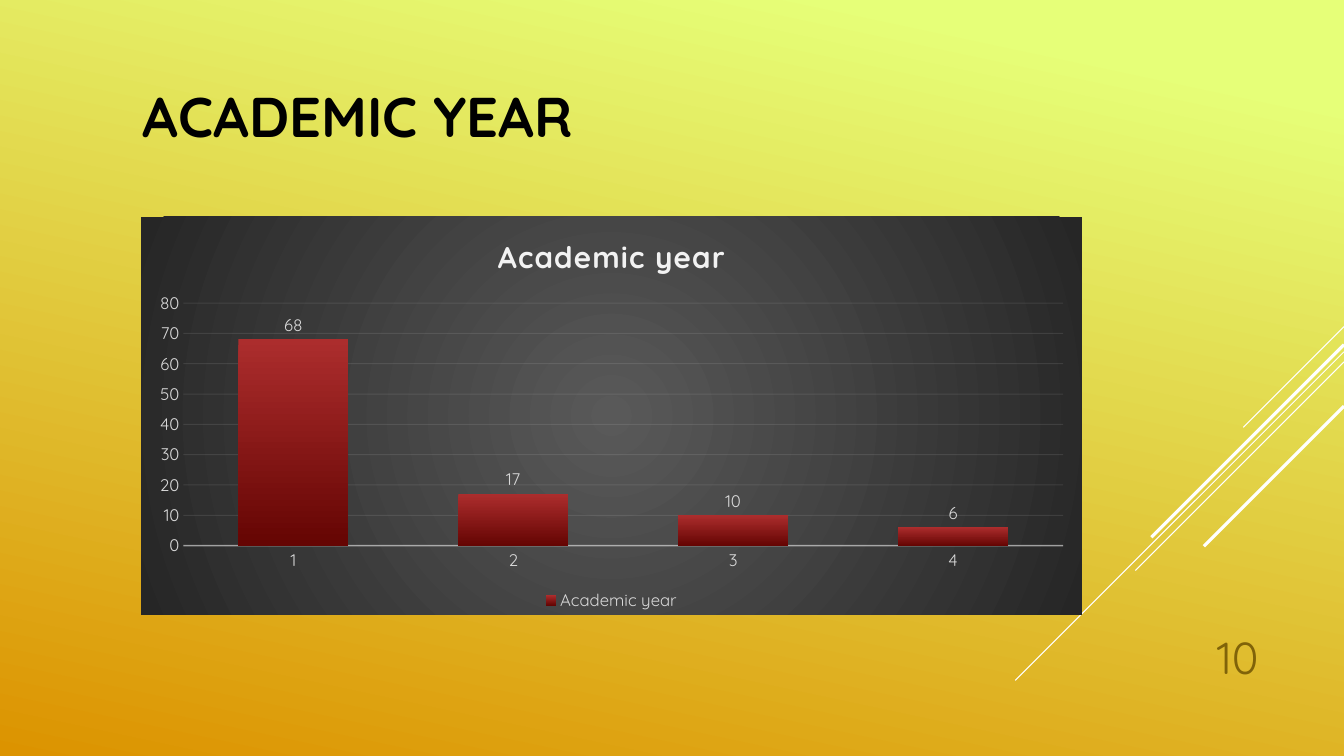
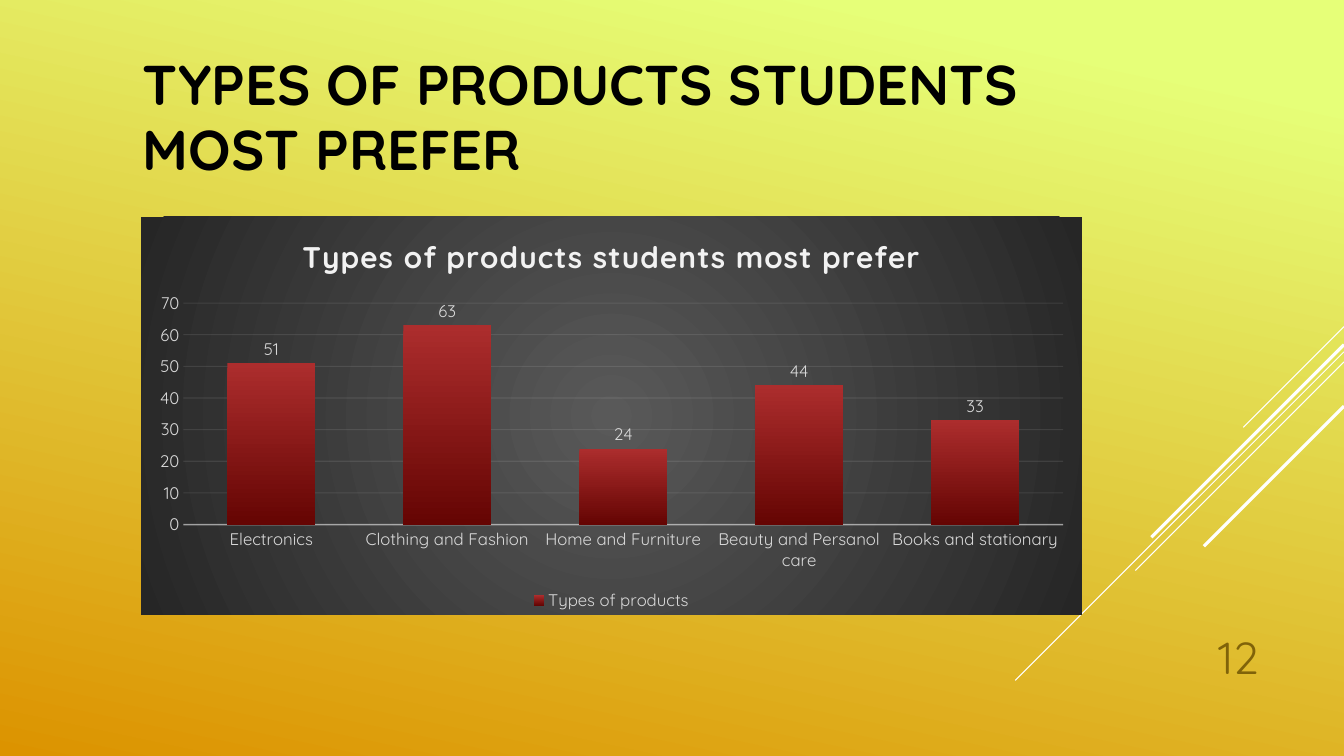
from lxml.etree import SubElement
from pptx import Presentation
from pptx.chart.data import CategoryChartData
from pptx.dml.color import RGBColor
from pptx.enum.chart import XL_CHART_TYPE as ChartType
from pptx.enum.chart import XL_LABEL_POSITION as LabelPosition
from pptx.enum.chart import XL_LEGEND_POSITION as LegendPosition
from pptx.enum.chart import XL_TICK_MARK as TickMark
from pptx.enum.shapes import MSO_CONNECTOR as Connector
from pptx.enum.text import MSO_ANCHOR as Anchor
from pptx.enum.text import PP_ALIGN as Align
from pptx.oxml import parse_xml
from pptx.oxml.ns import nsdecls, qn
from pptx.util import Inches, Pt

# Content
SLIDES = [
    {
        "title": "ACADEMIC YEAR",
        "chart_title": "Academic year",
        "series": "Academic year",
        "data": [("1", 68), ("2", 17), ("3", 10), ("4", 6)],
        "axis_max": 80,
        "number": "10",
    },
    {
        "title": "TYPES OF PRODUCTS STUDENTS MOST PREFER",
        "chart_title": "Types of products students most prefer",
        "series": "Types of products",
        "data": [
            ("Electronics", 51),
            ("Clothing and Fashion", 63),
            ("Home and Furniture", 24),
            ("Beauty and Persanol care", 44),
            ("Books and stationary", 33),
        ],
        "axis_max": 70,
        "number": "12",
    },
]

# Shared style
FONT = "Quicksand"
LIME, ORANGE = RGBColor(0xE6, 0xFF, 0x78), RGBColor(0xDC, 0x93, 0x00)
RED, DARK_RED = RGBColor(0xAC, 0x2D, 0x2D), RGBColor(0x65, 0x05, 0x03)
GRAY, CHARCOAL = RGBColor(0x59, 0x59, 0x59), RGBColor(0x26, 0x26, 0x26)
BLACK, WHITE = RGBColor(0, 0, 0), RGBColor(0xFF, 0xFF, 0xFF)
PALE, SILVER = RGBColor(0xF2, 0xF2, 0xF2), RGBColor(0xD9, 0xD9, 0xD9)
BROWN = RGBColor(0x80, 0x63, 0x09)

TITLE_FORMAT = {"name": FONT, "size": Pt(40), "bold": True, "color": BLACK}
NUMBER_FORMAT = {"name": FONT, "size": Pt(32), "color": BROWN}
CHART_TITLE_FORMAT = {"name": FONT, "size": Pt(21.3), "bold": True, "color": PALE}
CHART_FORMAT = {"name": FONT, "size": Pt(10), "color": WHITE}
LABEL_FORMAT = {"name": FONT, "size": Pt(12), "bold": False, "color": SILVER}

WIDTH, HEIGHT = 13.33, 7.5
TITLE_BOX = (1.32, 0.35, 9.33, 1.65)
CHART_BOX = (1.4, 2.15, 9.33, 3.95)
NUMBER_BOX = (11.33, 6.1, 1.25, 0.73)

# Diagonals from the right edge: start height, run to the lower left, weight
DIAGONALS = [
    (3.24, 1.0, 0.75),
    (3.49, 3.26, 0.75),
    (3.59, 2.07, 0.75),
    (3.42, 1.91, 2.25),
    (4.03, 1.39, 2.25),
]


def apply_format(font, values):
    for name, value in values.items():
        if name == "color":
            font.color.rgb = value
        else:
            setattr(font, name, value)


def set_gradient(fill, stops, angle):
    """Linear gradient; the angle runs clockwise in degrees."""
    fill.gradient()
    fill.gradient_angle = 360 - angle
    for stop, (position, color) in zip(fill.gradient_stops, stops):
        stop.position = position
        stop.color.rgb = color


def style_line(line, color, weight, opacity):
    line.color.rgb = color
    line.width = Pt(weight)
    for element in line.fill._xPr.iter(qn("a:srgbClr")):
        SubElement(element, qn("a:alpha")).set("val", str(opacity * 1000))


def add_text(slide, box, text, values, anchor, align, spacing=1.0):
    frame = slide.shapes.add_textbox(*map(Inches, box)).text_frame
    frame.word_wrap = True
    frame.vertical_anchor = anchor
    paragraph = frame.paragraphs[0]
    paragraph.alignment = align
    paragraph.line_spacing = spacing
    run = paragraph.add_run()
    run.text = text
    apply_format(run.font, values)


def add_diagonals(slide):
    for top, run, weight in DIAGONALS:
        ends = (WIDTH, top, WIDTH - run, top + run)
        line = slide.shapes.add_connector(Connector.STRAIGHT, *map(Inches, ends))
        line.line.color.rgb = WHITE
        line.line.width = Pt(weight)
        SubElement(line._element.spPr, qn("a:effectLst"))


def fill_chart_area(chart):
    """Radial gradient behind the whole chart."""
    area = parse_xml(
        f'<c:spPr {nsdecls("c", "a")}><a:gradFill><a:gsLst>'
        f'<a:gs pos="0"><a:srgbClr val="{GRAY}"/></a:gs>'
        f'<a:gs pos="100000"><a:srgbClr val="{CHARCOAL}"/></a:gs></a:gsLst>'
        '<a:path path="circle"><a:fillToRect l="50000" t="50000" r="50000" b="50000"/>'
        "</a:path></a:gradFill><a:ln><a:noFill/></a:ln></c:spPr>"
    )
    chart._chartSpace.find(qn("c:chart")).addnext(area)


def add_column_chart(slide, content):
    data = CategoryChartData()
    categories, values = zip(*content["data"])
    data.categories = categories
    data.add_series(content["series"], values)
    chart = slide.shapes.add_chart(
        ChartType.COLUMN_CLUSTERED, *map(Inches, CHART_BOX), data
    ).chart
    apply_format(chart.font, CHART_FORMAT)
    fill_chart_area(chart)

    # Title and legend
    chart.has_title = True
    run = chart.chart_title.text_frame.paragraphs[0].add_run()
    run.text = content["chart_title"]
    apply_format(run.font, CHART_TITLE_FORMAT)
    run.font._element.set("spc", "100")
    chart.chart_title.include_in_layout = False
    chart.has_legend = True
    chart.legend.position = LegendPosition.BOTTOM
    chart.legend.include_in_layout = False
    apply_format(chart.legend.font, LABEL_FORMAT)

    # Axes
    category_axis, value_axis = chart.category_axis, chart.value_axis
    for axis in (category_axis, value_axis):
        axis.major_tick_mark = axis.minor_tick_mark = TickMark.NONE
        apply_format(axis.tick_labels.font, LABEL_FORMAT)
    style_line(category_axis.format.line, PALE, 1, 54)
    value_axis.format.line.fill.background()
    value_axis.minimum_scale = 0
    value_axis.maximum_scale = content["axis_max"]
    value_axis.major_unit = 10
    style_line(value_axis.major_gridlines.format.line, PALE, 0.75, 10)

    # Columns and their values
    plot = chart.plots[0]
    plot.vary_by_categories = False
    plot.gap_width = 100
    plot.overlap = -24
    set_gradient(plot.series[0].format.fill, [(0, RED), (1, DARK_RED)], 90)
    plot.has_data_labels = True
    labels = plot.data_labels
    labels.show_value = True
    labels.position = LabelPosition.OUTSIDE_END
    apply_format(labels.font, LABEL_FORMAT)


def add_chart_slide(presentation, content):
    slide = presentation.slides.add_slide(presentation.slide_layouts[6])
    set_gradient(slide.background.fill, [(0.1, LIME), (1, ORANGE)], 102)
    add_diagonals(slide)
    add_text(slide, TITLE_BOX, content["title"], TITLE_FORMAT,
             Anchor.MIDDLE, Align.LEFT, 0.96)
    add_column_chart(slide, content)
    add_text(slide, NUMBER_BOX, content["number"], NUMBER_FORMAT,
             Anchor.BOTTOM, Align.RIGHT)


def main():
    presentation = Presentation()
    presentation.slide_width = Inches(WIDTH)
    presentation.slide_height = Inches(HEIGHT)
    for content in SLIDES:
        add_chart_slide(presentation, content)
    presentation.save("out.pptx")


if __name__ == "__main__":
    main()
